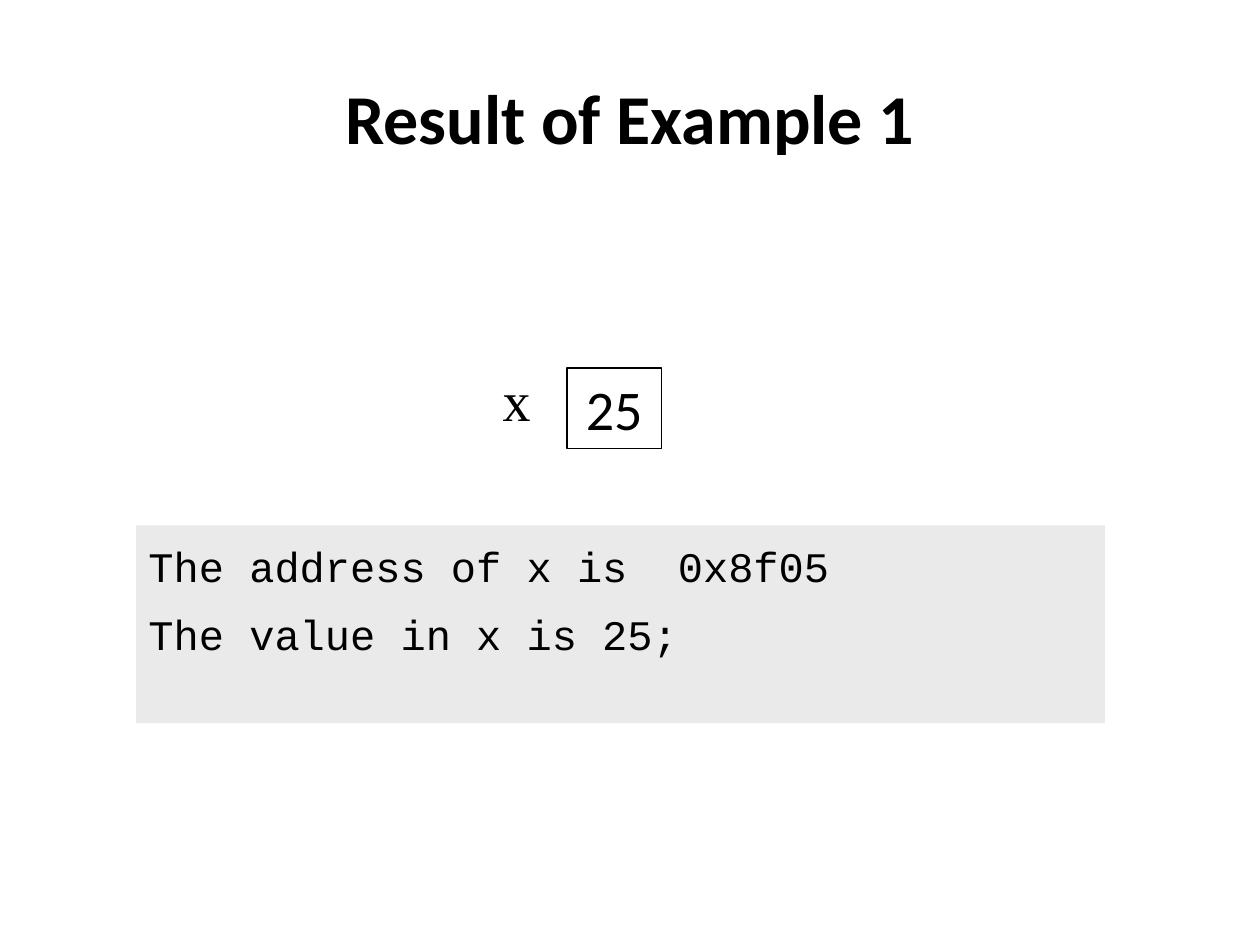
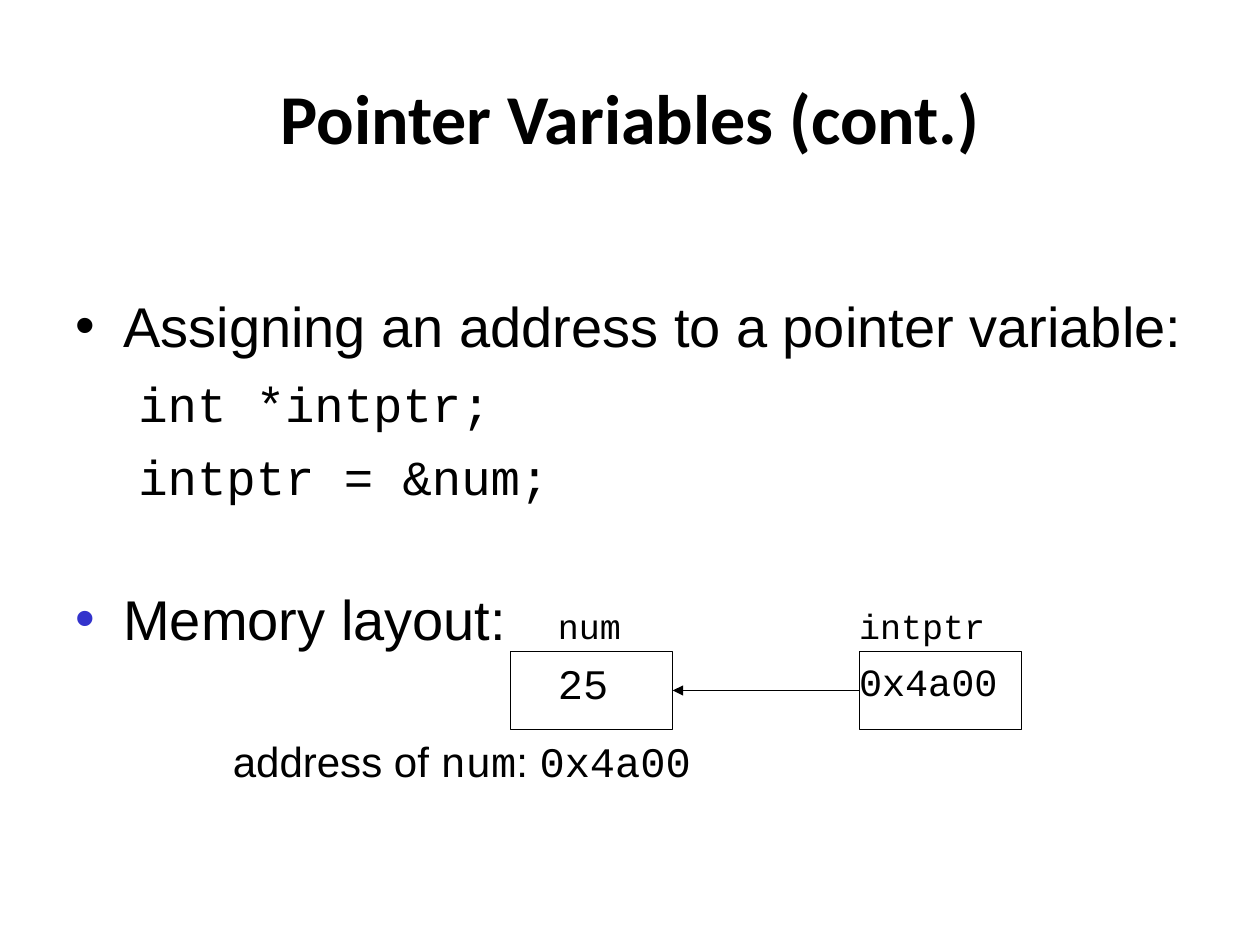
import pptx
import pptx.util
import pptx.dml.color
import pptx.enum.shapes
import pptx.enum.text
from lxml import etree
from pptx.oxml.ns import qn

Inches, Pt = pptx.util.Inches, pptx.util.Pt
ALIGN = pptx.enum.text.PP_ALIGN
ANCHOR = pptx.enum.text.MSO_ANCHOR

# Shared style
BLACK, PANEL, BLUE = "000000", "EAEAEA", "3333CC"
CODE, BODY, HEAD, SERIF = "Courier New", "Arial", "Calibri", "Times New Roman"


def rgb(value):
    return pptx.dml.color.RGBColor.from_string(value)


def add_run(p, text, size, font, bold=False):
    r = p.add_run()
    r.text = text
    r.font.size, r.font.name, r.font.bold = Pt(size), font, bold
    r.font.color.rgb = rgb(BLACK)


def setup_frame(sp, anchor=ANCHOR.TOP, top=0.05):
    tf = sp.text_frame
    tf.word_wrap = True
    tf.vertical_anchor = anchor
    tf.margin_left = tf.margin_right = Inches(0.1)
    tf.margin_top, tf.margin_bottom = Inches(top), Inches(0.05)
    return tf


def add_text(s, box, runs, align=ALIGN.LEFT, anchor=ANCHOR.TOP):
    """One-paragraph text box; each run is (text, size, font[, bold])."""
    tf = setup_frame(s.shapes.add_textbox(*map(Inches, box)), anchor)
    p = tf.paragraphs[0]
    p.alignment = align
    for run in runs:
        add_run(p, *run)


def add_title(s, text):
    add_text(s, (0.5, 0.3, 9, 1.25), [(text, 40, HEAD, True)],
             ALIGN.CENTER, ANCHOR.MIDDLE)


def add_box(s, box, fill=None, line=None):
    sp = s.shapes.add_shape(pptx.enum.shapes.MSO_SHAPE.RECTANGLE,
                            *map(Inches, box))
    sp.shadow.inherit = False
    if fill:
        sp.fill.solid()
        sp.fill.fore_color.rgb = rgb(fill)
    else:
        sp.fill.background()
    if line:
        sp.line.color.rgb = rgb(line)
        sp.line.width = Pt(0.75)
    else:
        sp.line.fill.background()
    return sp


def add_paragraph(tf, text, size, font, before=0, indent=0, bullet=None):
    """Append a left-aligned paragraph; bullet is the colour of its mark."""
    p = tf.paragraphs[0]
    if p.runs:
        p = tf.add_paragraph()
    p.alignment = ALIGN.LEFT
    p.space_before = Pt(before)
    pPr = p._p.get_or_add_pPr()
    pPr.set("marL", str(Inches(indent)))
    if bullet:
        pPr.set("indent", str(-Inches(indent)))
        colour = etree.SubElement(pPr, qn("a:buClr"))
        etree.SubElement(colour, qn("a:srgbClr"), val=bullet)
        etree.SubElement(pPr, qn("a:buFont"), typeface=BODY)
        etree.SubElement(pPr, qn("a:buChar"), char="•")
    add_run(p, text, size, font)


def add_arrow(s, start, end):
    """Arrow from the left side of start to the right side of end."""
    c = s.shapes.add_connector(pptx.enum.shapes.MSO_CONNECTOR.STRAIGHT,
                               0, 0, 0, 0)
    c.begin_connect(start, 1)
    c.end_connect(end, 3)
    c.line.color.rgb = rgb(BLACK)
    c.line.width = Pt(0.75)
    etree.SubElement(c.line._get_or_add_ln(), qn("a:tailEnd"), type="triangle")
    etree.SubElement(c._element.spPr, qn("a:effectLst"))


def build_result(s):
    add_title(s, "Result of Example 1")

    # Program output
    panel = add_box(s, (1.08, 4.17, 7.69, 1.57), fill=PANEL)
    tf = setup_frame(panel, top=0.12)
    add_paragraph(tf, "The address of x is  0x8f05", 24, CODE)
    add_paragraph(tf, "The value in x is 25;", 24, CODE, before=10)

    # Variable and its value
    add_text(s, (3.83, 2.83, 0.54, 0.67), [("x", 32, SERIF)],
             ALIGN.CENTER, ANCHOR.MIDDLE)
    cell = add_box(s, (4.5, 2.92, 0.75, 0.64), line=BLACK)
    p = setup_frame(cell).paragraphs[0]
    p.alignment = ALIGN.CENTER
    add_run(p, "25", 32, HEAD)


def build_pointers(s):
    add_title(s, "Pointer Variables (cont.)")

    # Bullets and code
    body = s.shapes.add_textbox(*map(Inches, (0.5, 2.17, 9.08, 2.83)))
    tf = setup_frame(body, top=0.14)
    add_paragraph(tf, "Assigning an address to a pointer variable:", 32, BODY,
                  indent=0.38, bullet=BLACK)
    for code in ("int *intptr;", "intptr = &num;"):
        add_paragraph(tf, code, 28, CODE, before=8.5, indent=0.5)
    add_paragraph(tf, "Memory layout:", 32, BODY, before=45,
                  indent=0.38, bullet=BLUE)

    # Memory cells: cell left, text left, text width, name, value, value size
    cells = [(4.05, 4.33, 0.78, "num", "25", 24),
             (6.82, 6.72, 1.44, "intptr", "0x4a00", 22)]
    boxes = []
    for left, text_left, width, name, value, size in cells:
        boxes.append(add_box(s, (left, 5.17, 1.29, 0.62), line=BLACK))
        add_text(s, (text_left, 4.75, width, 0.54), [(name, 20, CODE)])
        add_text(s, (text_left, 5.17, width, 0.62), [(value, size, CODE)])
    num, intptr = boxes
    add_arrow(s, intptr, num)
    add_text(s, (1.75, 5.79, 4.23, 0.62),
             [("address of ", 24, BODY), ("num", 24, CODE),
              (": ", 24, BODY), ("0x4a00", 24, CODE)])


def main():
    prs = pptx.Presentation()
    prs.slide_width, prs.slide_height = Inches(10), Inches(7.5)
    for build in (build_result, build_pointers):
        build(prs.slides.add_slide(prs.slide_layouts[6]))
    prs.save("out.pptx")


if __name__ == "__main__":
    main()
